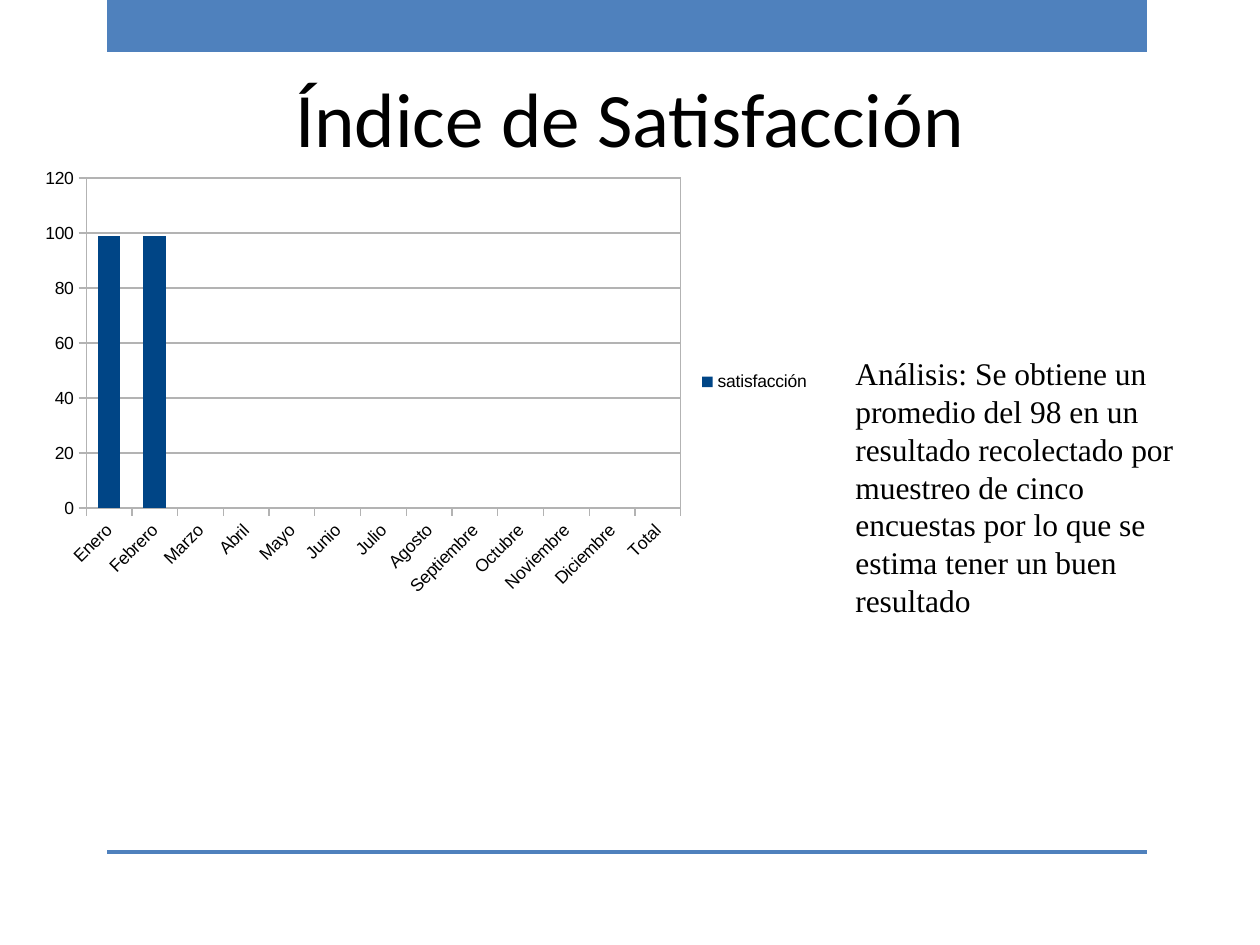
from lxml import etree
from pptx import Presentation
from pptx import util as u
from pptx.chart.data import CategoryChartData
from pptx.dml.color import RGBColor
from pptx.enum import chart as ch, shapes, text
from pptx.oxml import parse_xml
from pptx.oxml.ns import nsdecls, qn

PX = 914400 // 126
BLUE, GRAY, BLACK, NAVY = "4F81BD", "B3B3B3", "000000", "004586"

TITLE = "Índice de Satisfacción"
NOTE = ("Análisis: Se obtiene un promedio del 98 en un resultado recolectado "
        "por muestreo de cinco encuestas por lo que se estima tener un buen resultado")
MONTHS = ["Enero", "Febrero", "Marzo", "Abril", "Mayo", "Junio", "Julio", "Agosto",
          "Septiembre", "Octubre", "Noviembre", "Diciembre", "Total"]
SCORES = [99, 99] + [None] * 11

# left, top, width, height in px
BARS = [(107, 0, 1040, 52), (107, 850, 1040, 4)]
TITLE_BOX = (63, 38, 1134, 157)
NOTE_BOX = (843, 348, 353, 270)
CHART_BOX = (29, 159, 794, 446)
PLOT_BOX = (86, 178, 595, 330)


def emu(box):
    return [u.Emu(n * PX) for n in box]


def color(code):
    return RGBColor.from_string(code)


def style(font, size, face):
    font.size, font.name = u.Pt(size), face
    font.color.rgb = color(BLACK)


def add_text(slide, box, words, size, face, align, anchor):
    frame = slide.shapes.add_textbox(*emu(box)).text_frame
    frame.word_wrap = True
    frame.vertical_anchor = anchor
    frame.text = words
    para = frame.paragraphs[0]
    para.alignment = align
    style(para.runs[0].font, size, face)


def set_line(line):
    line.color.rgb = color(GRAY)
    line.width = u.Pt(0.75)


def place_plot(chart):
    """Fix the inner plot area and give it a thin frame."""
    left, top, wide, high = CHART_BOX
    x, y, w, h = PLOT_BOX
    parts = {"x": (x - left) / wide, "y": (y - top) / high, "w": w / wide, "h": h / high}
    area = chart._chartSpace.find(".//" + qn("c:plotArea"))
    old = area.find(qn("c:layout"))
    if old is not None:
        area.remove(old)
    layout = etree.Element(qn("c:layout"))
    manual = etree.SubElement(layout, qn("c:manualLayout"))
    tags = [("layoutTarget", "inner"), ("xMode", "edge"), ("yMode", "edge")]
    for tag, val in tags + [(k, f"{v:.2f}" if k == "h" else f"{v:.3f}")
                            for k, v in parts.items()]:
        etree.SubElement(manual, qn("c:" + tag)).set("val", val)
    area.insert(0, layout)
    area.append(parse_xml(
        f'<c:spPr {nsdecls("c", "a")}><a:noFill/><a:ln w="9525"><a:solidFill>'
        f'<a:srgbClr val="{GRAY}"/></a:solidFill></a:ln></c:spPr>'))


def add_chart(slide):
    data = CategoryChartData()
    data.categories = MONTHS
    data.add_series("satisfacción", SCORES)
    kind = ch.XL_CHART_TYPE.COLUMN_CLUSTERED
    chart = slide.shapes.add_chart(kind, *emu(CHART_BOX), data).chart
    chart.has_title = False
    style(chart.font, 10, "Arial")
    chart.has_legend = True
    chart.legend.position = ch.XL_LEGEND_POSITION.RIGHT
    chart.legend.include_in_layout = False

    plot = chart.plots[0]
    plot.gap_width = 100
    plot.vary_by_categories = False
    fill = plot.series[0].format.fill
    fill.solid()
    fill.fore_color.rgb = color(NAVY)

    months, scale = chart.category_axis, chart.value_axis
    for axis in (months, scale):
        axis.major_tick_mark = ch.XL_TICK_MARK.OUTSIDE
        axis.minor_tick_mark = ch.XL_TICK_MARK.NONE
        set_line(axis.format.line)
        style(axis.tick_labels.font, 10, "Arial")
    months._element.find(qn("c:txPr")).find(qn("a:bodyPr")).set("rot", "-2700000")
    scale.minimum_scale, scale.maximum_scale, scale.major_unit = 0, 120, 20
    scale.has_major_gridlines = True
    set_line(scale.major_gridlines.format.line)
    place_plot(chart)


def main():
    prs = Presentation()
    prs.slide_width, prs.slide_height = u.Inches(10), u.Inches(7.5)
    slide = prs.slides.add_slide(prs.slide_layouts[6])

    # Top band and bottom rule
    for box in BARS:
        bar = slide.shapes.add_shape(shapes.MSO_SHAPE.RECTANGLE, *emu(box))
        bar.shadow.inherit = False
        bar.fill.solid()
        bar.fill.fore_color.rgb = color(BLUE)
        bar.line.fill.background()

    # Title, analysis and chart
    add_text(slide, TITLE_BOX, TITLE, 44, "Calibri",
             text.PP_ALIGN.CENTER, text.MSO_ANCHOR.MIDDLE)
    add_text(slide, NOTE_BOX, NOTE, 18, "Times New Roman",
             text.PP_ALIGN.LEFT, text.MSO_ANCHOR.TOP)
    add_chart(slide)
    prs.save("out.pptx")


if __name__ == "__main__":
    main()
